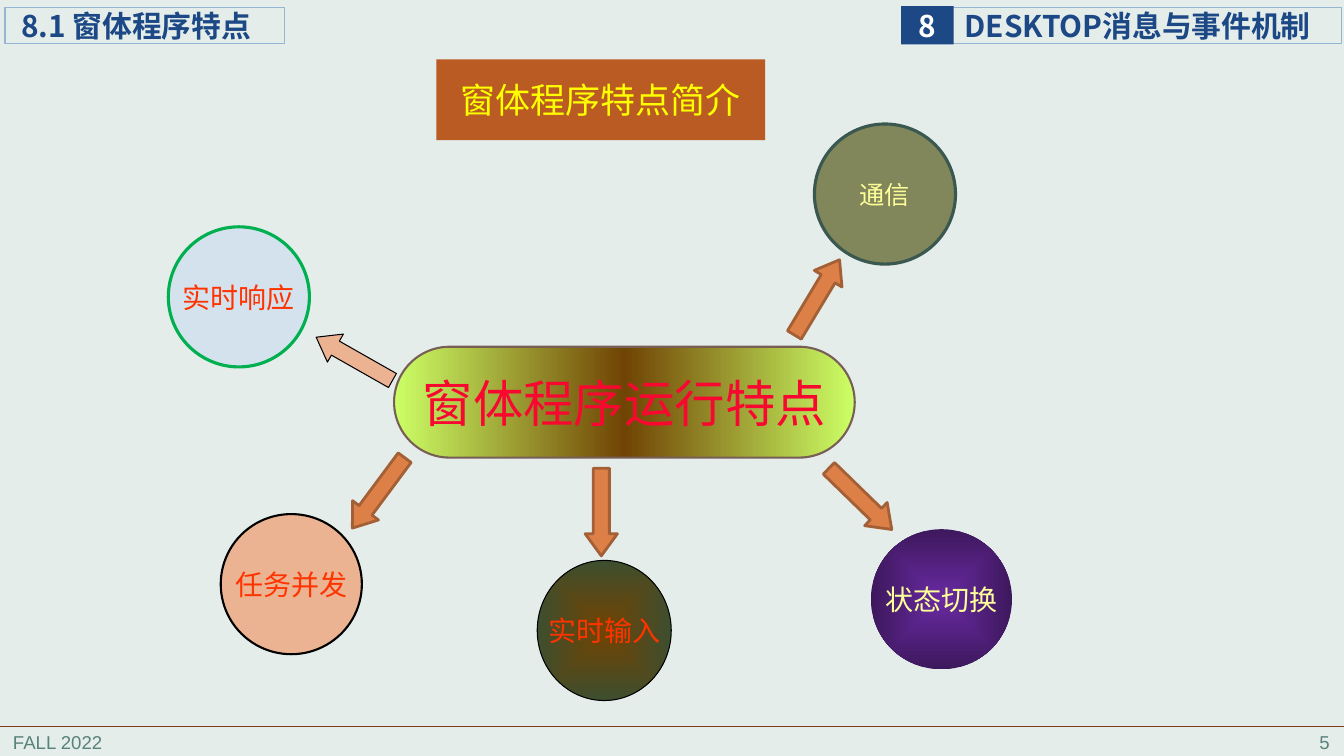
from dataclasses import dataclass
from typing import Optional, Union

from pptx import Presentation
from pptx import util as u
from pptx.dml.color import RGBColor
from pptx.enum import shapes, text
from pptx.oxml import parse_xml
from pptx.oxml.ns import nsdecls, qn

# Grid: 160 columns by 90 rows of square cells
COLUMNS, ROWS = 160, 90
CELL = u.Inches(7.5) / ROWS
ALIGN, ANCHOR, SHAPE = text.PP_ALIGN, text.MSO_ANCHOR, shapes.MSO_SHAPE


@dataclass(frozen=True)
class Theme:
    background: str = "E5EDEB"
    navy: str = "1C4885"
    white: str = "FFFFFF"
    black: str = "000000"
    frame: str = "94B6D2"
    footer: str = "578279"
    rule: str = "7B3D17"
    rust: str = "B95B22"
    yellow: str = "FFFF00"
    red: str = "FF3300"
    crimson: str = "F80830"
    cream: str = "FFFF99"
    brown: str = "704404"
    lime: str = "CCFF66"
    taupe: str = "775F55"
    orange: str = "DD8047"
    orange_edge: str = "A35F35"
    peach: str = "EBB391"
    cjk: str = "Noto Sans CJK SC"
    latin: str = "Arial"
    footer_size: float = 13.3
    small_size: float = 18
    node_size: float = 20
    header_size: float = 21.3
    title_size: float = 25
    hub_size: float = 36


T = Theme()


@dataclass(frozen=True)
class Gradient:
    stops: tuple[tuple[int, str], ...]
    centred: bool = False


@dataclass(frozen=True)
class Box:
    left: float
    top: float
    width: float
    height: float


@dataclass(frozen=True)
class Label:
    words: str
    size: float
    color: str
    font: str = T.cjk
    bold: bool = False
    align: ALIGN = ALIGN.CENTER
    anchor: ANCHOR = ANCHOR.MIDDLE
    wrap: bool = False
    insets: Optional[tuple[float, float]] = None  # left inset, other insets


@dataclass(frozen=True)
class Figure:
    kind: SHAPE
    box: Box
    fill: Union[str, Gradient, None] = None
    edge: Optional[str] = None
    edge_width: float = 0
    label: Optional[Label] = None
    turn: float = 0
    adjust: tuple[float, ...] = ()


def cells(count: float) -> int:
    return round(count * CELL)


def place(item, box: Box) -> None:
    for side in ("left", "top", "width", "height"):
        setattr(item, side, cells(getattr(box, side)))


def write(frame, label: Label) -> None:
    formats = {"word_wrap": label.wrap, "vertical_anchor": label.anchor,
               "auto_size": text.MSO_AUTO_SIZE.NONE}
    if label.insets:
        left, other = map(cells, label.insets)
        formats |= {"margin_left": left, "margin_right": other,
                    "margin_top": other, "margin_bottom": other}
    for name, value in formats.items():
        setattr(frame, name, value)
    paragraph = frame.paragraphs[0]
    paragraph.alignment = label.align
    run = paragraph.add_run()
    run.text = label.words
    for name, value in {"name": label.font, "size": u.Pt(label.size), "bold": label.bold}.items():
        setattr(run.font, name, value)
    run.font.color.rgb = RGBColor.from_string(label.color)
    run.font._element.find(qn("a:latin")).addnext(
        parse_xml(f'<a:ea {nsdecls("a")} typeface="{label.font}"/>'))


def paint(shape, fill: Union[str, Gradient, None]) -> None:
    if fill is None:
        shape.fill.background()
    elif isinstance(fill, str):
        shape.fill.solid()
        shape.fill.fore_color.rgb = RGBColor.from_string(fill)
    else:
        shape.fill.gradient()
        stops = "".join(f'<a:gs pos="{share * 1000}"><a:srgbClr val="{color}"/></a:gs>'
                        for share, color in fill.stops)
        spread = ('<a:path path="shape"><a:fillToRect l="50000" t="50000" r="50000" b="50000"/></a:path>'
                  if fill.centred else '<a:lin ang="0" scaled="0"/>')
        plain = shape._element.spPr.find(qn("a:gradFill"))
        plain.getparent().replace(plain, parse_xml(
            f'<a:gradFill {nsdecls("a")} rotWithShape="1"><a:gsLst>{stops}</a:gsLst>{spread}</a:gradFill>'))


def draw(slide, figure: Figure) -> None:
    shape = slide.shapes.add_shape(figure.kind, 0, 0, 0, 0)
    place(shape, figure.box)
    shape.shadow.inherit = False
    shape.rotation = figure.turn
    for index, value in enumerate(figure.adjust):
        shape.adjustments[index] = value
    paint(shape, figure.fill)
    if figure.edge:
        shape.line.color.rgb = RGBColor.from_string(figure.edge)
        shape.line.width = u.Pt(figure.edge_width)
    else:
        shape.line.fill.background()
    if figure.label:
        write(shape.text_frame, figure.label)


def header(words: str, box: Box, inset: float) -> Figure:
    label = Label(words, T.header_size, T.navy, bold=True, align=ALIGN.LEFT,
                  wrap=True, insets=(inset, 0))
    return Figure(SHAPE.RECTANGLE, box, None, T.frame, 0.75, label)


def feature(words: str, left: float, top: float, fill: Union[str, Gradient], color: str,
            edge: Optional[str] = None, edge_width: float = 0,
            size: float = T.node_size, width: float = 16.8) -> Figure:
    return Figure(SHAPE.OVAL, Box(left, top, width, 16.68), fill, edge, edge_width,
                  Label(words, size, color))


def arrow(left: float, top: float, turn: float, fill: str = T.orange,
          edge: str = T.orange_edge, edge_width: float = 2) -> Figure:
    return Figure(SHAPE.RIGHT_ARROW, Box(left, top, 10.44, 3.84), fill, edge, edge_width,
                  turn=turn, adjust=(0.5, 0.685))


HEADERS = [
    header("DESKTOP消息与事件机制", Box(113.4, 0.84, 46.32, 4.32), 1.44),
    Figure(SHAPE.RECTANGLE, Box(107.28, 0.72, 6.24, 4.56), T.navy,
           label=Label("8", T.header_size, T.white, bold=True, insets=(0, 0))),
    header("8.1 窗体程序特点", Box(0.6, 0.84, 33.24, 4.32), 1.92),
]
HUB = Figure(SHAPE.ROUNDED_RECTANGLE, Box(46.92, 41.28, 54.84, 13.2),
             Gradient(((0, T.lime), (50, T.brown), (100, T.lime))), T.taupe, 1.5,
             Label("窗体程序运行特点", T.hub_size, T.crimson), adjust=(0.5,))
FEATURES = [
    feature("实时输入", 63.96, 66.72, Gradient(((0, T.brown), (100, "3D4E2E")), True),
            T.red, T.black, 0.75, width=15.96),
    feature("状态切换", 103.68, 63, Gradient(((0, "692AA2"), (100, "3D185D")), True), T.cream),
    feature("任务并发", 26.28, 61.2, T.peach, T.red, T.black, 1.5),
    feature("实时响应", 20.04, 27, "D4E2ED", T.red, "00B050", 2.25),
    feature("通信", 96.96, 14.76, "81875A", T.cream, "3A5750", 2.25, T.small_size),
]
ARROWS = [
    arrow(92.04, 33.48, 301),
    arrow(97.2, 57.48, 44.2),
    arrow(66.36, 59.04, 90),
    arrow(39.84, 56.76, 126.6),
    arrow(36.96, 40.8, 209.6, T.peach, T.black, 0.75),
]
FOOTERS = [("FALL 2022", 0.36, ALIGN.LEFT), ("5", 126.12, ALIGN.RIGHT)]


def main() -> None:
    deck = Presentation()
    deck.slide_width, deck.slide_height = cells(COLUMNS), cells(ROWS)
    slide = deck.slides.add_slide(deck.slide_layouts[5])
    paint(slide.background, T.background)

    # Title
    title = slide.shapes.title
    place(title, Box(51.96, 7.08, 39.12, 9.6))
    paint(title, T.rust)
    write(title.text_frame, Label("窗体程序特点简介", T.title_size, T.yellow, wrap=True))

    # Footer with its rule
    for words, left, align in FOOTERS:
        footer = slide.shapes.add_textbox(0, 0, 0, 0)
        place(footer, Box(left, 86.4, 33.36, 3.72))
        write(footer.text_frame, Label(words, T.footer_size, T.footer, T.latin,
                                       align=align, anchor=ANCHOR.TOP, wrap=True))
    rule = slide.shapes.add_connector(shapes.MSO_CONNECTOR.STRAIGHT, 0, cells(86.52),
                                      cells(COLUMNS), cells(86.52))
    rule.line.color.rgb = RGBColor.from_string(T.rule)
    rule.line.width = u.Pt(0.5)
    rule._element.spPr.append(parse_xml(f'<a:effectLst {nsdecls("a")}/>'))

    # Header bars, then the hub with its features and arrows
    for figure in [*HEADERS, *FEATURES, HUB, *ARROWS]:
        draw(slide, figure)
    deck.save("out.pptx")


if __name__ == "__main__":
    main()
